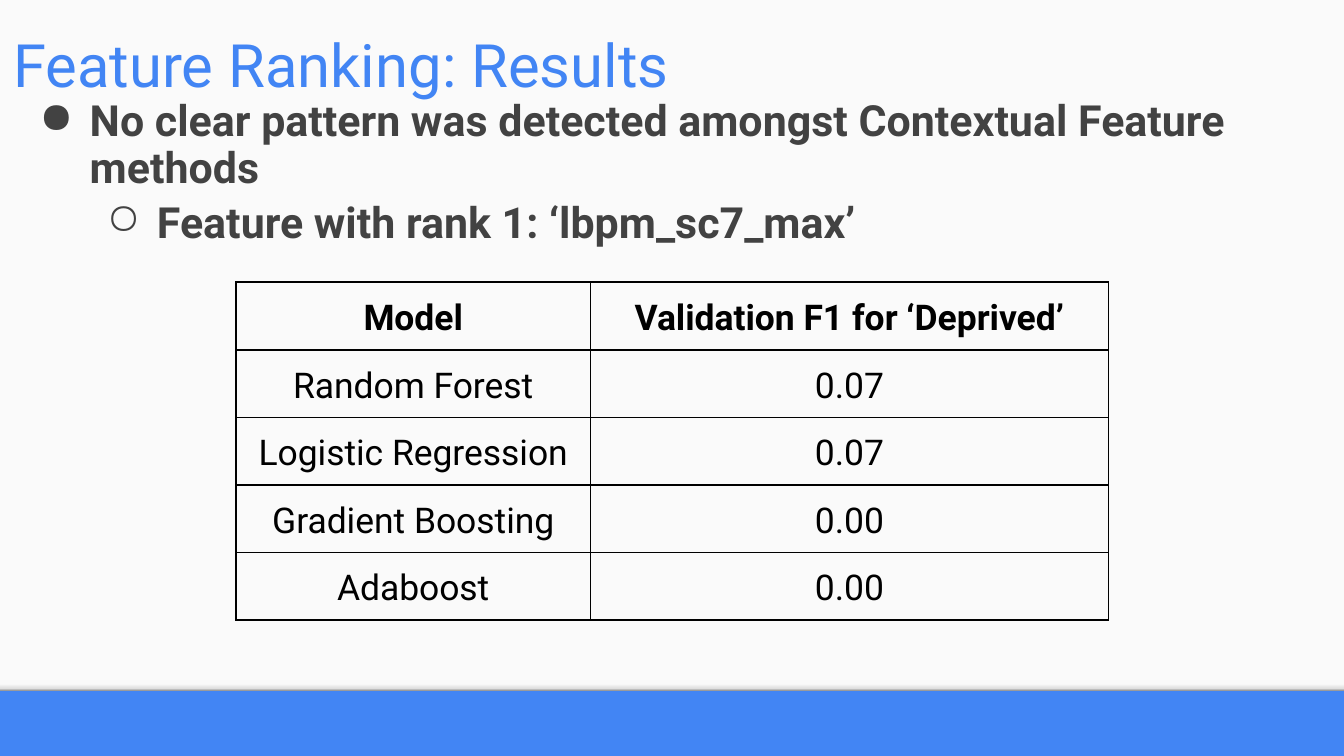
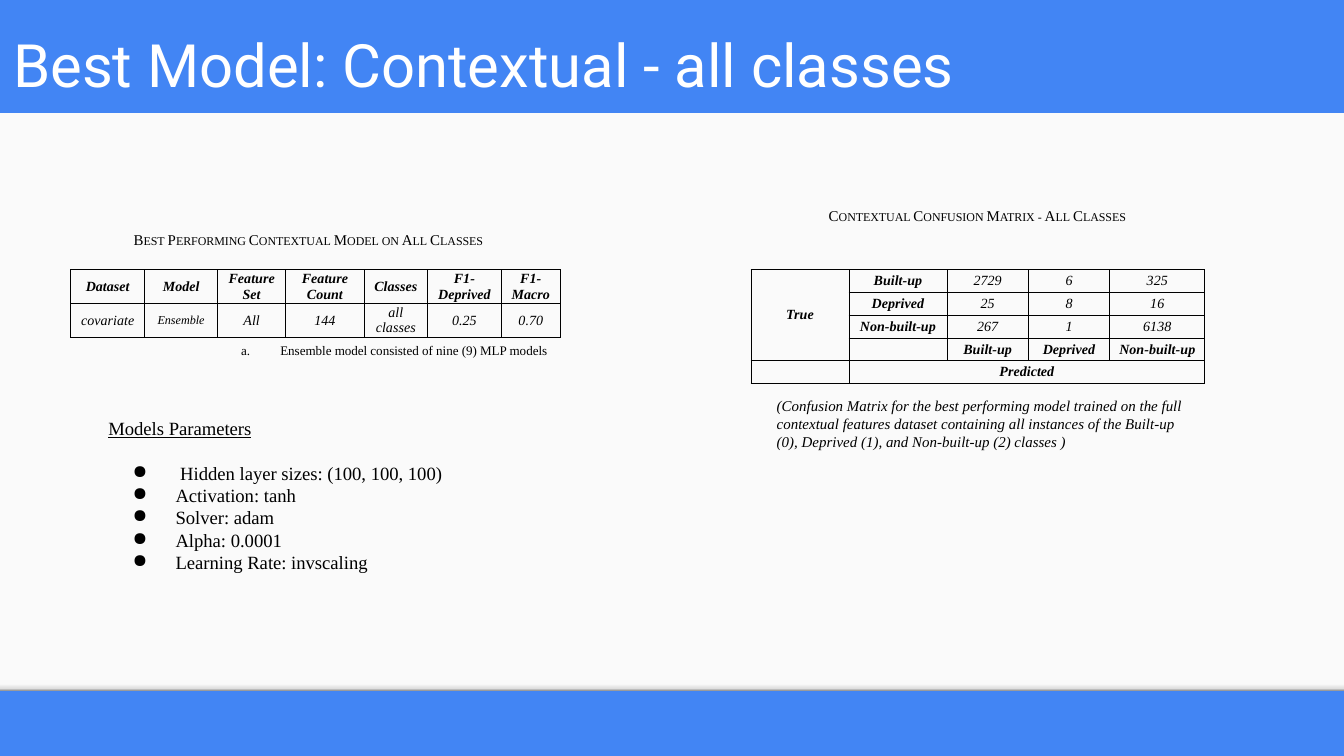
from copy import deepcopy
from lxml.etree import SubElement
from pptx import Presentation
from pptx.dml.color import RGBColor
from pptx.enum.shapes import MSO_SHAPE
from pptx.enum.text import MSO_ANCHOR, PP_ALIGN
from pptx.oxml.ns import qn
from pptx.util import Pt

BLUE, PAPER, GREY, BLACK, WHITE = "4285F4", "FAFAFA", "424242", "000000", "FFFFFF"
SHADE = [(0, "F9F9F9"), (36, "F9F9F9"), (80, "DEDEDE"), (100, "999999")]
SANS, SERIF = "Roboto", "Times New Roman"
TOP, MID, LOW = MSO_ANCHOR.TOP, MSO_ANCHOR.MIDDLE, MSO_ANCHOR.BOTTOM
CENTER, RIGHT = PP_ALIGN.CENTER, PP_ALIGN.RIGHT
PAD = (7.2, 7.2, 7.2, 7.2)

HEAD = dict(name=SANS, size=Pt(32))
POINT = dict(name=SANS, size=Pt(23), bold=True, color=GREY)
SCORE = dict(name=SANS, size=Pt(19), color=BLACK)
SMALL = dict(name=SERIF, size=Pt(7.5), italic=True, color=BLACK)
LIST = dict(name=SERIF, size=Pt(10), color=BLACK)
CAPS = dict(name=SERIF, size=Pt(8), color=BLACK, caps=True)
NOTE = dict(name=SERIF, size=Pt(7), color=BLACK)
QUOTE = dict(name=SERIF, size=Pt(8), italic=True, color=BLACK)

FINDINGS = [
    ("No clear pattern was detected amongst Contextual Feature methods",
     dict(line_spacing=0.9), ("●", 36, -27)),
    ("Feature with rank 1: ‘lbpm_sc7_max’",
     dict(level=1, line_spacing=1.05), ("○", 72, -27)),
]
SCORES = [
    ["Model", "Validation F1 for ‘Deprived’"],
    ["Random Forest", "0.07"],
    ["Logistic Regression", "0.07"],
    ["Gradient Boosting", "0.00"],
    ["Adaboost", "0.00"],
]
BEST = [
    ["Dataset", "Model", "Feature Set", "Feature Count", "Classes",
     "F1- Deprived", "F1- Macro"],
    ["covariate", "Ensemble", "All", "144", "all classes", "0.25", "0.70"],
]
MATRIX = [
    ["True", "Built-up", "2729", "6", "325"],
    ["", "Deprived", "25", "8", "16"],
    ["", "Non-built-up", "267", "1", "6138"],
    ["", "", "Built-up", "Deprived", "Non-built-up"],
    ["", "Predicted", "", "", ""],
]
PARAMS = [" Hidden layer sizes: (100, 100, 100)", "Activation: tanh", "Solver: adam",
          "Alpha: 0.0001", "Learning Rate: invscaling"]
REMARK = ("(Confusion Matrix for the best performing model trained on the full contextual "
          "features dataset containing all instances of the Built-up (0), Deprived (1), "
          "and Non-built-up (2) classes )")


def rgb(code):
    return RGBColor.from_string(code)


def assign(item, values):
    for key, value in values.items():
        setattr(item, key, value)


def paint(item, color):
    item.fill.solid()
    item.fill.fore_color.rgb = rgb(color)


def style(font, look):
    look = dict(look)
    font.color.rgb = rgb(look.pop("color"))
    if look.pop("caps", False):
        font._element.set("cap", "small")
    assign(font, look)


def mark(para, sign, left, hang, color):
    props = para._p.get_or_add_pPr()
    props.set("marL", str(Pt(left)))
    props.set("indent", str(Pt(hang)))
    if sign:
        tint = SubElement(props, qn("a:buClr"))
        SubElement(tint, qn("a:srgbClr"), val=color)
        if sign == "a.":
            SubElement(props, qn("a:buAutoNum"), type="alphaLcPeriod")
        else:
            SubElement(props, qn("a:buChar"), char=sign)


def fill_text(frame, lines, look):
    for i, (text, form, sign, *extra) in enumerate(lines):
        para = frame.add_paragraph() if i else frame.paragraphs[0]
        if sign:
            mark(para, *sign, look["color"])
        assign(para, form)
        run = para.add_run()
        run.text = text
        style(run.font, dict(look, **(extra[0] if extra else {})))


def add_text(slide, box, lines, look, anchor=TOP, pad=PAD):
    shape = slide.shapes.add_textbox(*map(Pt, box))
    frame = shape.text_frame
    sides = ("margin_left", "margin_top", "margin_right", "margin_bottom")
    assign(frame, dict(zip(sides, map(Pt, pad)), word_wrap=True, vertical_anchor=anchor))
    fill_text(frame, lines, look)
    return shape


def add_band(slide, top, height):
    band = slide.shapes.add_shape(MSO_SHAPE.RECTANGLE, 0, Pt(top), Pt(720), Pt(height))
    band.shadow.inherit = False
    band.line.fill.background()
    return band


def add_page(deck, title, width, color, back=None):
    slide = deck.slides.add_slide(deck.slide_layouts[6])
    paint(slide.background, BLUE)
    paint(add_band(slide, 0, 370), PAPER)
    shade = add_band(slide, 364.3, 5.7)
    shade.fill.gradient()
    shade.fill.gradient_angle = 270
    stops = shade._element.spPr.find(".//" + qn("a:gsLst"))
    for stop in list(stops):
        stops.append(deepcopy(stop))
    for stop, (place, tone) in zip(shade.fill.gradient_stops, SHADE):
        stop.position = place / 100
        stop.color.rgb = rgb(tone)
    head = add_text(slide, (0, 0, width, 60.5), [(title, {}, None)],
                    dict(HEAD, color=color), LOW)
    if back:
        paint(head, back)
    return slide


def edge(cell, width):
    props = cell._tc.get_or_add_tcPr()
    for side in ("lnL", "lnR", "lnT", "lnB"):
        line = SubElement(props, qn("a:" + side), w=str(Pt(width)))
        solid = SubElement(line, qn("a:solidFill"))
        SubElement(solid, qn("a:srgbClr"), val=BLACK)


def add_grid(slide, spot, rows, cols, high, look, bold, line, pad, form, anchor=MID, spans=()):
    size = (sum(cols), high * len(rows))
    grid = slide.shapes.add_table(len(rows), len(cols), *map(Pt, spot + size)).table
    assign(grid, dict(first_row=False, horz_banding=False))
    for col, width in zip(grid.columns, cols):
        col.width = Pt(width)
    for r, row in enumerate(rows):
        grid.rows[r].height = Pt(high)
        for c, word in enumerate(row):
            cell = grid.cell(r, c)
            assign(cell, dict(margin_left=Pt(5), margin_right=Pt(5), margin_top=Pt(pad),
                              margin_bottom=Pt(pad), vertical_anchor=anchor))
            edge(cell, line)
            cell.fill.background()
            if word:
                fill_text(cell.text_frame, [(word, form, None)],
                          dict(look, bold=bold(r, word)))
            else:
                para = cell.text_frame.paragraphs[0]
                SubElement(para._p, qn("a:endParaRPr"), sz=str(int(look["size"].pt * 100)))
    for first, last in spans:
        grid.cell(*first).merge(grid.cell(*last))
    return grid


def ranking(deck):
    slide = add_page(deck, "Feature Ranking: Results", 647, BLUE)
    add_text(slide, (5, 55.4, 660, 80), FINDINGS, POINT, MID, (7.2, 7.2, 7.2, 12.3))
    add_grid(slide, (126.4, 151.2), SCORES, (190, 277.4), 24, SCORE,
             lambda r, word: r == 0, 1, 5, dict(alignment=CENTER, line_spacing=1.15), TOP)


def best(deck):
    slide = add_page(deck, "Best Model: Contextual - all classes", 720, WHITE, BLUE)
    middle = dict(alignment=CENTER)
    tight = dict(middle, line_spacing=0.9)
    params = [("Models Parameters", {}, None, dict(underline=True))]
    for i, text in enumerate(PARAMS):
        params.append((text, {} if i else dict(space_before=Pt(12)), ("●", 36, -23)))
    add_text(slide, (51, 216, 236, 99.4), params, LIST)
    grid = add_grid(slide, (37.9, 144.5), BEST, (39.6, 39.1, 36.5, 42, 34, 39.5, 31.7), 12.2,
                    SMALL, lambda r, word: r == 0, 0.5, 0, middle)
    grid.cell(1, 1).text_frame.paragraphs[0].runs[0].font.size = Pt(6.5)
    add_text(slide, (44.6, 115.2, 223.2, 36),
             [("Best Performing Contextual Model on All Classes", tight, (None, 18, 0))],
             CAPS, MID, (7.2, 7.2, 7.2, 15.4))
    add_text(slide, (64, 180.7, 236.2, 23),
             [("Ensemble model consisted of nine (9) MLP models", dict(alignment=RIGHT),
               ("a.", 21, -21))], NOTE, TOP, (7.2, 4.5, 7.2, 7.2))
    add_grid(slide, (402.3, 144.5), MATRIX, (52.5, 52.5, 43.6, 43.6, 51), 12.2, SMALL,
             lambda r, word: not word.isdigit(), 0.5, 0, middle,
             spans=[((0, 0), (3, 0)), ((4, 1), (4, 4))])
    add_text(slide, (409, 210.2, 236.2, 33.1), [(REMARK, {}, None)], QUOTE, MID)
    add_text(slide, (405.4, 108.7, 236.2, 23),
             [("Contextual Confusion Matrix - All Classes", tight, None)],
             CAPS, TOP, (7.2, 5, 7.2, 7.2))


def main():
    deck = Presentation()
    assign(deck, dict(slide_width=Pt(720), slide_height=Pt(405)))
    ranking(deck)
    best(deck)
    deck.save("out.pptx")


if __name__ == "__main__":
    main()
